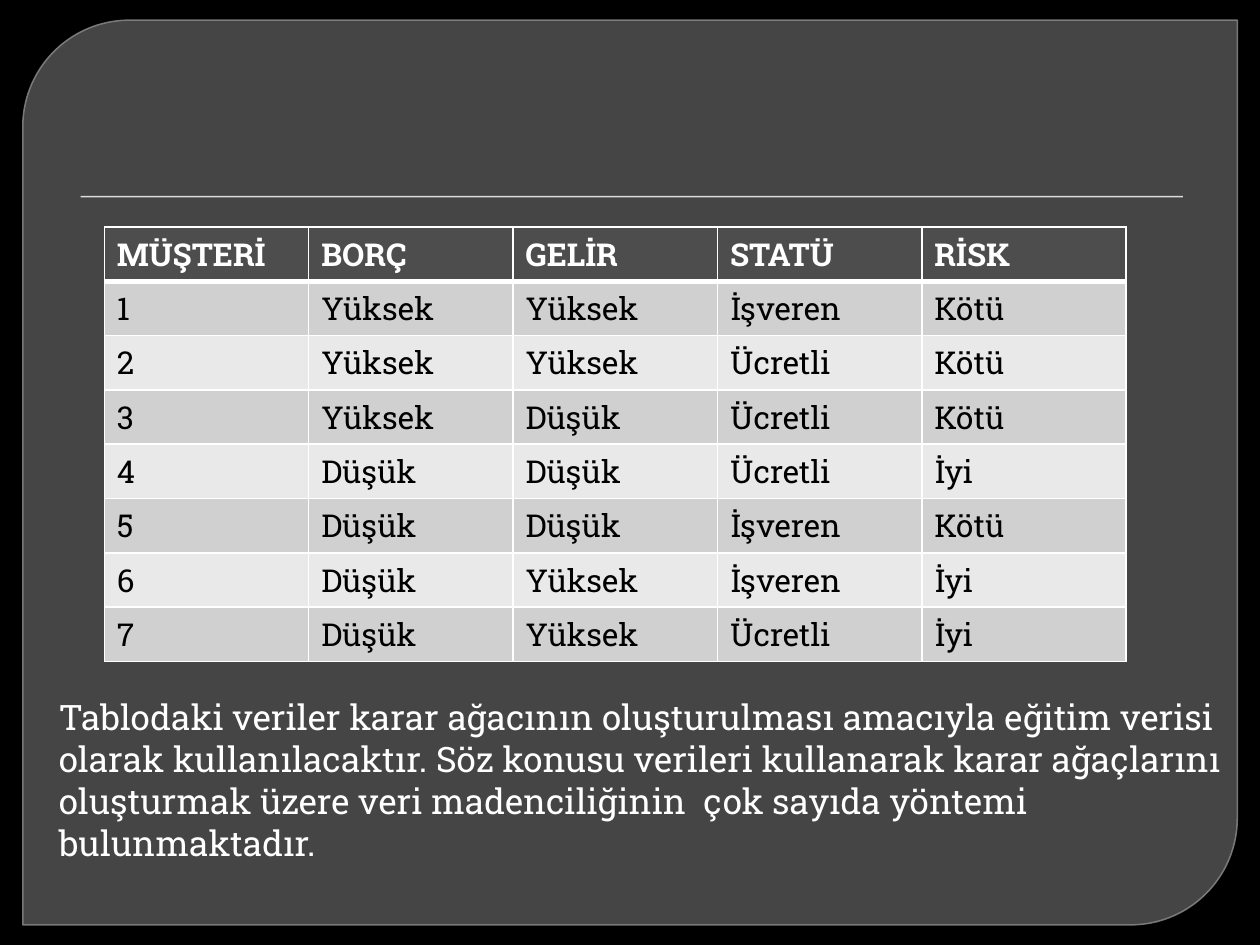
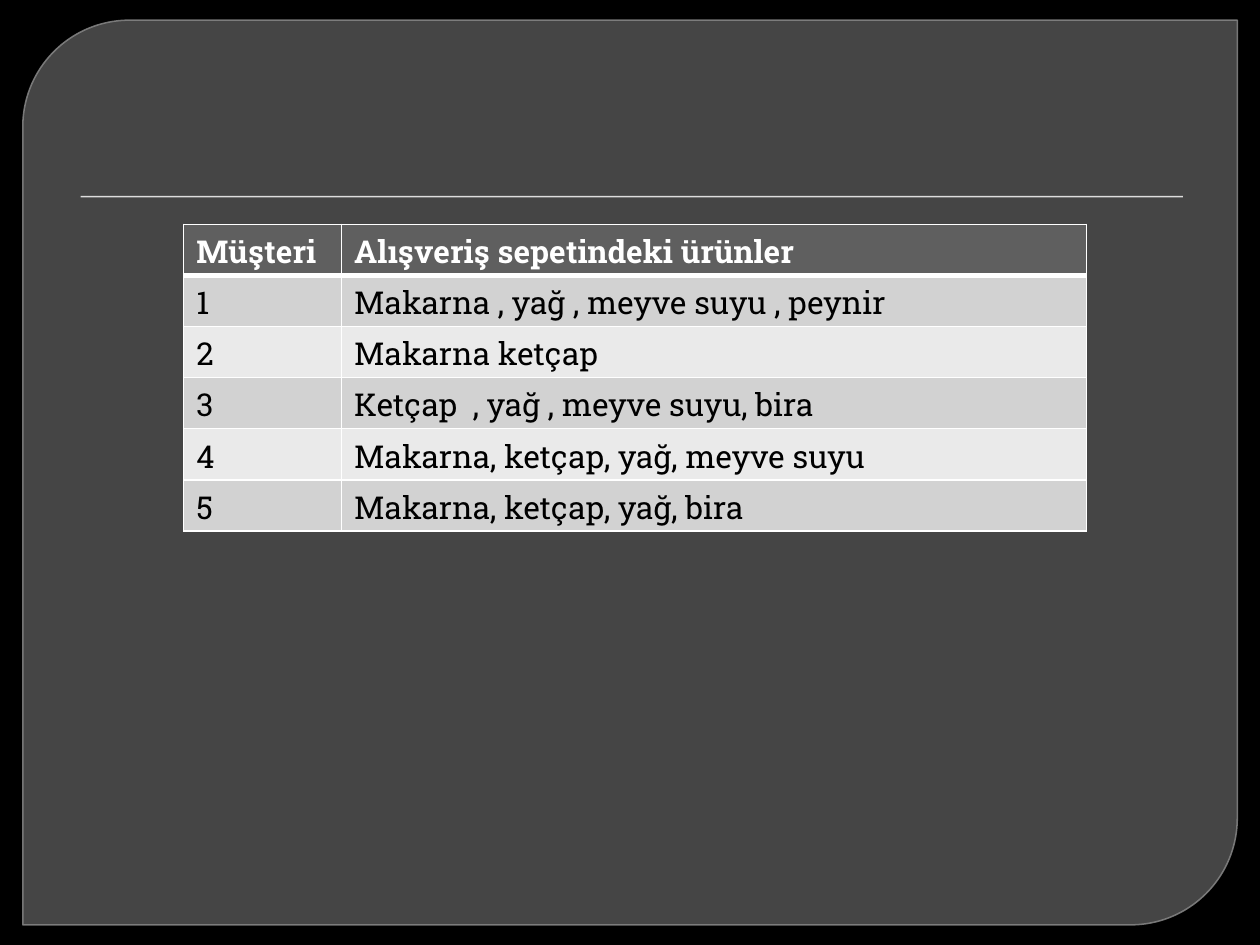
import lxml.etree
import pptx
import pptx.dml.color
import pptx.enum.shapes
import pptx.oxml.ns
import pptx.util

Pt = pptx.util.Pt
qn = pptx.oxml.ns.qn
SHAPES = pptx.enum.shapes.MSO_SHAPE

FONT = "Roboto Slab"
BLACK, WHITE = "000000", "FFFFFF"
PANEL_FILL, PANEL_LINE, RULE = "6B6B6B", "848484", "DDDDDD"
PANEL_BOX = (13, 11.5, 694, 517)
RULE_BOX = (46, 112, 630, 0.8)
ROW_HEIGHT = 29.2

CUSTOMERS = [
    ["MÜŞTERİ", "BORÇ", "GELİR", "STATÜ", "RİSK"],
    ["1", "Yüksek", "Yüksek", "İşveren", "Kötü"],
    ["2", "Yüksek", "Yüksek", "Ücretli", "Kötü"],
    ["3", "Yüksek", "Düşük", "Ücretli", "Kötü"],
    ["4", "Düşük", "Düşük", "Ücretli", "İyi"],
    ["5", "Düşük", "Düşük", "İşveren", "Kötü"],
    ["6", "Düşük", "Yüksek", "İşveren", "İyi"],
    ["7", "Düşük", "Yüksek", "Ücretli", "İyi"],
]
BASKETS = [
    ["Müşteri", "Alışveriş sepetindeki ürünler"],
    ["1", "Makarna , yağ , meyve suyu , peynir"],
    ["2", "Makarna ketçap"],
    ["3", "Ketçap  , yağ , meyve suyu, bira"],
    ["4", "Makarna, ketçap, yağ, meyve suyu"],
    ["5", "Makarna, ketçap, yağ, bira"],
]
EXPLANATION = [
    "Tablodaki veriler karar ağacının oluşturulması amacıyla eğitim verisi",
    "olarak kullanılacaktır. Söz konusu verileri kullanarak karar ağaçlarını",
    "oluşturmak üzere veri madenciliğinin  çok sayıda yöntemi bulunmaktadır.",
]


def color(value):
    """Turn a hex string into a colour."""
    return pptx.dml.color.RGBColor.from_string(value)


def paint(fill, value):
    """Make a fill solid in the given colour."""
    fill.solid()
    fill.fore_color.rgb = color(value)


def set_opacity(properties, percent):
    """Set the opacity of the solid fill directly inside an element."""
    tint = properties.find(qn("a:solidFill"))[0]
    lxml.etree.SubElement(tint, qn("a:alpha"), val=str(percent * 1000))


def format_text(frame, size, value, bold=False):
    """Give every run of a text frame the deck's font."""
    for para in frame.paragraphs:
        for span in para.runs:
            span.font.name = FONT
            span.font.size = Pt(size)
            span.font.bold = bold
            span.font.color.rgb = color(value)


def add_block(page, kind, box, value):
    """Add a filled shape without outline or shadow."""
    block = page.shapes.add_shape(kind, *map(Pt, box))
    block.shadow.inherit = False
    paint(block.fill, value)
    block.line.fill.background()
    return block


def add_page(deck):
    """Add a slide with the black ground, the grey panel and the title rule."""
    page = deck.slides.add_slide(deck.slide_layouts[6])
    paint(page.background.fill, BLACK)
    panel = add_block(page, SHAPES.ROUND_2_DIAG_RECTANGLE, PANEL_BOX, PANEL_FILL)
    panel.adjustments[0] = 0.118
    panel.adjustments[1] = 0
    paint(panel.line.fill, PANEL_LINE)
    panel.line.width = Pt(0.87)
    properties = panel.fill._xPr
    set_opacity(properties, 65)
    set_opacity(properties.find(qn("a:ln")), 88)
    add_block(page, SHAPES.RECTANGLE, RULE_BOX, RULE)
    return page


def add_border(cell, side, width):
    """Draw one white side of a table cell."""
    properties = cell._tc.get_or_add_tcPr()
    line = lxml.etree.SubElement(properties, qn("a:ln" + side), w=str(Pt(width)))
    fill = lxml.etree.SubElement(line, qn("a:solidFill"))
    lxml.etree.SubElement(fill, qn("a:srgbClr"), val=WHITE)


def add_grid(page, left, top, widths, rows, head_fill, band_fills):
    """Add a banded table with a bold header row."""
    frame = page.shapes.add_table(
        len(rows), len(widths), Pt(left), Pt(top),
        Pt(sum(widths)), Pt(ROW_HEIGHT * len(rows)))
    grid = frame.table
    for column, width in zip(grid.columns, widths):
        column.width = Pt(width)
    for index, texts in enumerate(rows):
        grid.rows[index].height = Pt(ROW_HEIGHT)
        header = index == 0
        fill = head_fill if header else band_fills[(index - 1) % 2]
        borders = {"L": 1, "R": 1, "T": 3 if index == 1 else 1, "B": 3 if header else 1}
        for cell, text in zip(grid.rows[index].cells, texts):
            cell.text_frame.text = text
            format_text(cell.text_frame, 18, WHITE if header else BLACK, header)
            for side, width in borders.items():
                add_border(cell, side, width)
            paint(cell.fill, fill)


def add_explanation(page, box, lines):
    """Add the paragraphs below the table."""
    frame = page.shapes.add_textbox(*map(Pt, box)).text_frame
    frame.word_wrap = True
    frame.text = "\n".join(lines)
    format_text(frame, 20, WHITE)


def main():
    """Build both slides and save the deck."""
    deck = pptx.Presentation()
    deck.slide_width, deck.slide_height = Pt(720), Pt(540)

    page = add_page(deck)
    add_grid(page, 59.6, 129.8, [116.8] * 5, CUSTOMERS, "4D4D4D", ("D0D0D0", "E9E9E9"))
    add_explanation(page, (26.6, 394, 693.4, 80), EXPLANATION)

    page = add_page(deck)
    add_grid(page, 105, 128.2, [90.2, 425.6], BASKETS, "5F5F5F", ("D2D2D2", "EAEAEA"))

    deck.save("out.pptx")


if __name__ == "__main__":
    main()
